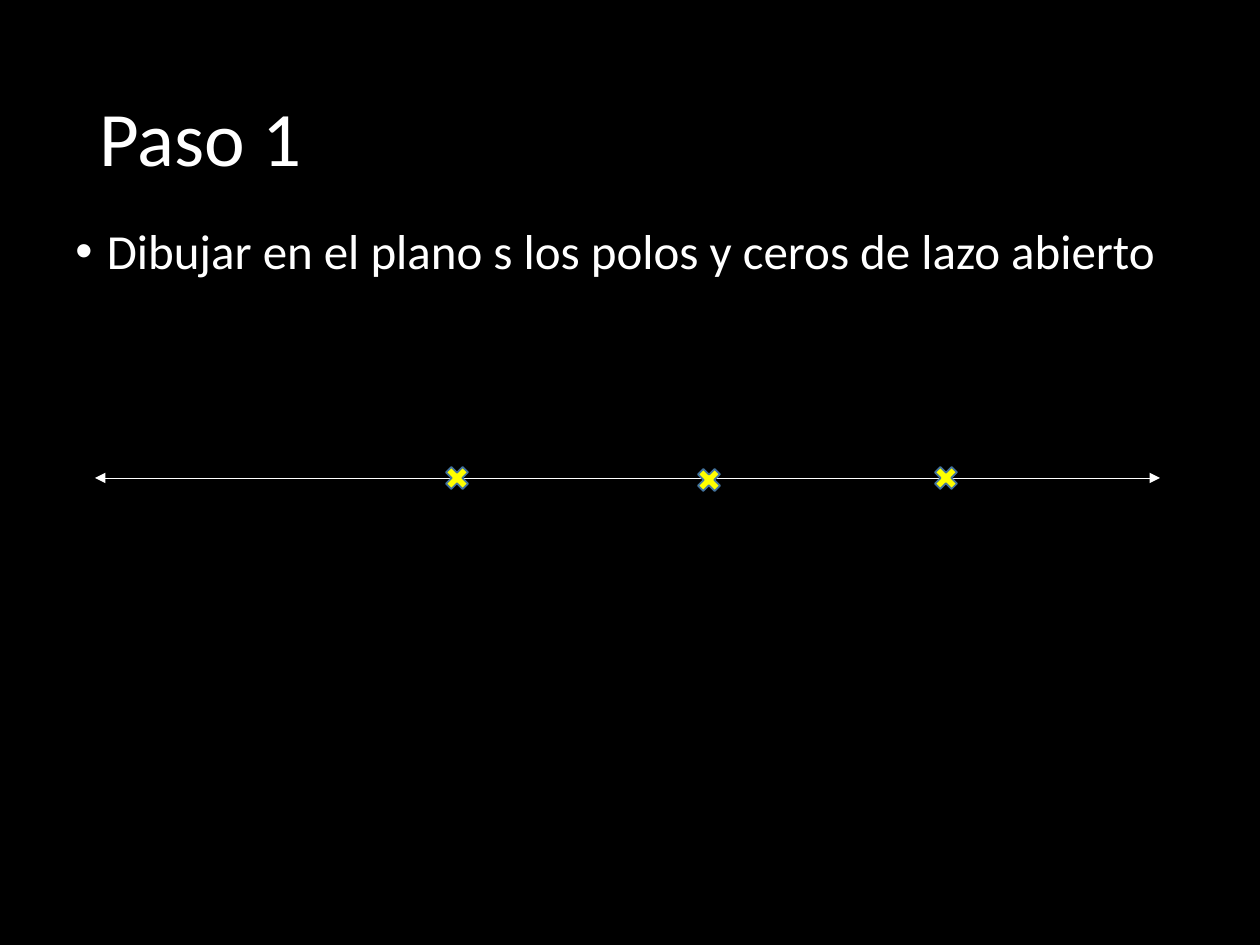
from pptx import Presentation
from pptx import util as u
from pptx.dml.color import RGBColor
from pptx.enum import shapes, text
from pptx.oxml.ns import qn
from lxml import etree

PX = 914400 // 126


def px(n):
    return u.Emu(n * PX)


def color(fmt, value):
    if hasattr(fmt, "solid"):
        fmt.solid()
        fmt.fore_color.rgb = RGBColor.from_string(value)
    else:
        fmt.color.rgb = RGBColor.from_string(value)


def add_text(s, box, words, size, anchor):
    tf = s.shapes.add_textbox(*map(px, box)).text_frame
    tf.word_wrap = True
    tf.vertical_anchor = anchor
    p = tf.paragraphs[0]
    p.text = words
    p.line_spacing = 0.9
    p.font.name = "Calibri"
    p.font.size = u.Pt(size)
    color(p.font, "FFFFFF")
    return p


def add_title(s, box, words):
    add_text(s, box, words, 44, text.MSO_ANCHOR.MIDDLE)


def add_body(s, box, words):
    p = add_text(s, box, words, 28, text.MSO_ANCHOR.TOP)
    p.space_before = u.Pt(10)
    pPr = p._p.get_or_add_pPr()
    indent = u.Inches(0.25)
    pPr.set("marL", str(indent))
    pPr.set("indent", str(-indent))
    font = etree.Element(qn("a:buFont"), typeface="Arial")
    bullet = etree.Element(qn("a:buChar"), char="•")
    pPr.find(qn("a:spcBef")).addnext(font)
    font.addnext(bullet)


def add_real_axis(s, box, poles, size):
    left, top, width, height = box
    y = top + height // 2
    axis = s.shapes.add_connector(
        shapes.MSO_CONNECTOR.STRAIGHT, px(left), px(y), px(left + width), px(y))
    axis.line.width = u.Pt(0.5)
    color(axis.line, "FFFFFF")
    ln = axis.line._get_or_add_ln()
    for end in ("a:headEnd", "a:tailEnd"):
        etree.SubElement(ln, qn(end), type="triangle")
    etree.SubElement(axis._element.spPr, qn("a:effectLst"))
    for dx, dy in poles:
        sp = s.shapes.add_shape(
            shapes.MSO_SHAPE.MATH_MULTIPLY,
            px(left + dx), px(top + dy), px(size), px(size))
        sp.shadow.inherit = False
        color(sp.fill, "FFFF00")
        color(sp.line, "43739E")
        sp.line.width = u.Pt(1)


prs = Presentation()
prs.slide_width, prs.slide_height = u.Inches(10), u.Inches(7.5)
s = prs.slides.add_slide(prs.slide_layouts[6])
color(s.background.fill, "000000")
add_title(s, (87, 50, 1086, 183), "Paso 1")
add_body(s, (63, 221, 1134, 136),
         "Dibujar en el plano s los polos y ceros de lazo abierto")
add_real_axis(s, (95, 462, 1065, 32), [(598, 2), (346, 0), (835, 0)], 32)
prs.save("out.pptx")
